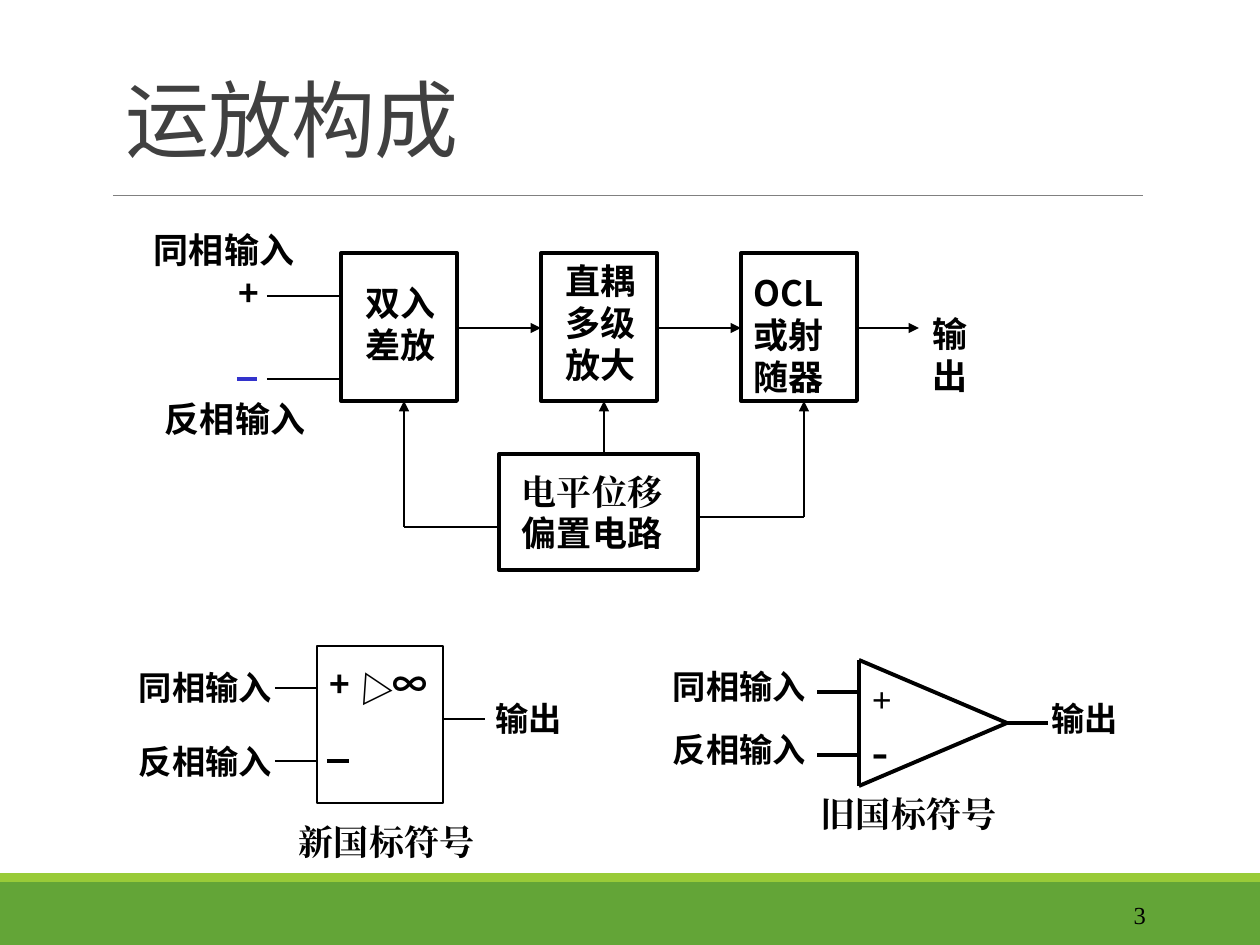
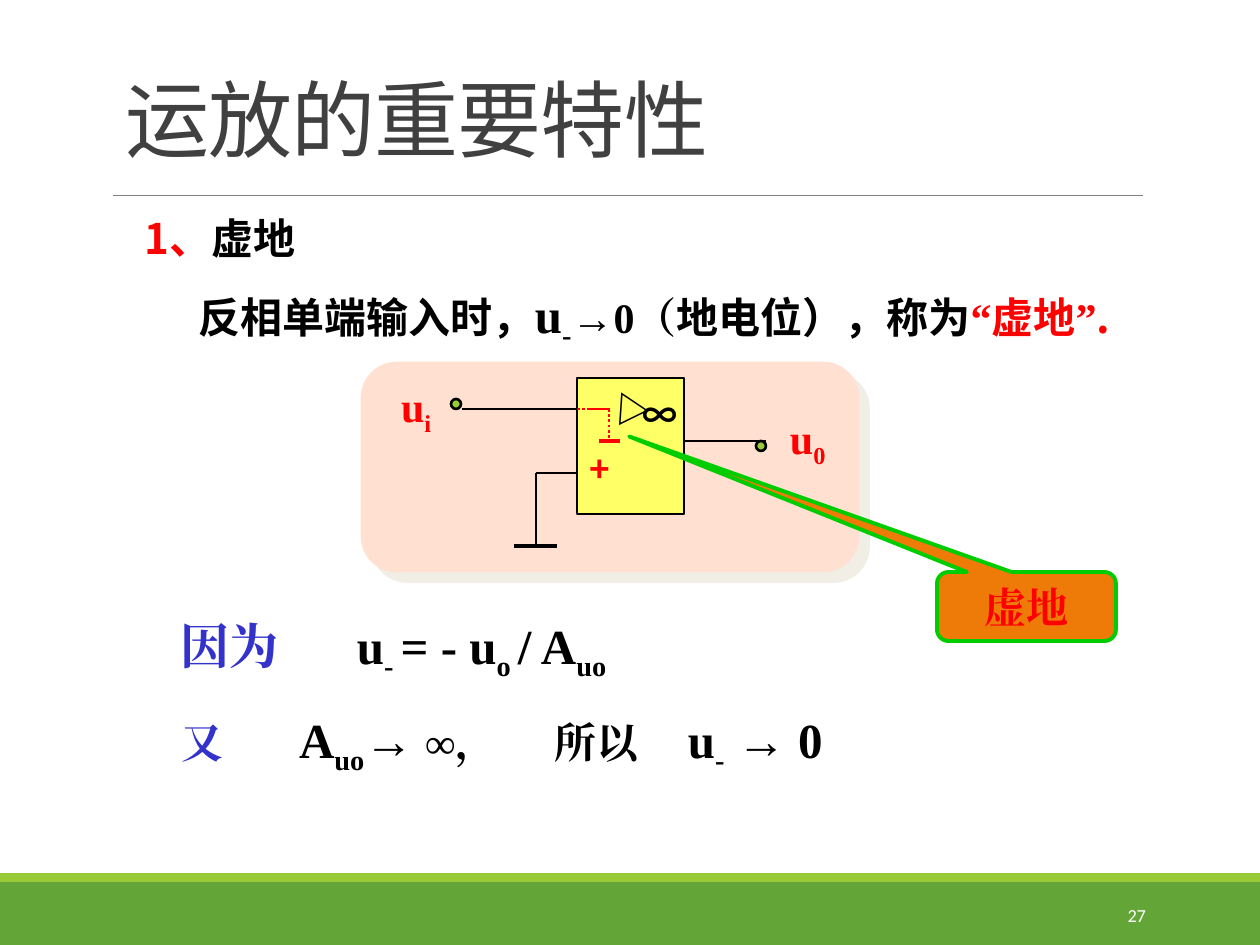
"""Builds two slides about the structure and key property of operational amplifiers."""
from lxml import etree
from pptx import Presentation, util as u
from pptx.dml.color import RGBColor
from pptx.enum import dml, shapes, text
from pptx.oxml.ns import qn

PX = 914400 / 126
SANS, SERIF, CALIBRI = "Noto Sans CJK SC", "Times New Roman", "Calibri"
BLACK, WHITE, RED, BLUE = "000000", "FFFFFF", "FF0000", "3333CC"
GREEN, LIME, GREY, TITLE = "63A537", "99CB38", "808080", "404040"
PANEL, YELLOW, ORANGE, CALLOUT_LINE, SHADOW = "FFE0D1", "FFFF66", "EE7B08", "00CC00", "E2DFCC"
SHAPE = shapes.MSO_SHAPE
TRIANGLE_ROTATION = 273.9

BLOCK_X, BLOCK_Y, BLOCK_W, BLOCK_H, BLOCK_STEP = 341, 253, 116, 148, 200
ARROW_Y = 328
BLOCKS = [("双入差放", 11, 22, 105), ("直耦多级放大", 11, 0, 105), ("OCL或射随器", 0, 12, 116)]
ARROW_LENGTHS = [84, 84, 62]
BIAS_BOX = (499, 454, 199, 116)
NEW_SYMBOL_BOX = (317, 646, 126, 157)

STRUCTURE_LABELS = [
    ((141, 222, 179, 54), "同相输入", SANS, 20),
    ((152, 391, 179, 54), "反相输入", SANS, 20),
    ((226, 265, 53, 54), "+", SANS, 20),
    ((919, 306, 95, 97), "输出", SANS, 20),
    ((509, 464, 189, 54), "电平位移", SERIF, 20),
    ((509, 505, 179, 54), "偏置电路", SANS, 20),
    ((380, 656, 73, 54), "∞", SANS, 20),
    ((317, 656, 42, 54), "+", SANS, 20),
    ((286, 814, 231, 54), "新国标符号", SERIF, 20),
    ((859, 671, 53, 54), "+", SERIF, 20),
    ((859, 713, 63, 72), "-", SERIF, 28),
    ((660, 660, 162, 53), "同相输入", SANS, 19),
    ((660, 723, 162, 53), "反相输入", SANS, 19),
    ((1038, 692, 94, 53), "输出", SANS, 19),
    ((808, 786, 204, 54), "旧国标符号", SERIF, 20),
]
NEW_SYMBOL_LABELS = [
    ((139, 667, 137, 40), "同相输入"),
    ((139, 741, 137, 40), "反相输入"),
    ((495, 698, 84, 40), "输出"),
]
THIN_WIRES = [
    (267, 296, 341, 296), (267, 379, 341, 379),
    (499, 527, 404, 527), (698, 517, 804, 517),
    (275, 688, 317, 688), (275, 761, 317, 761), (443, 719, 485, 719),
]
BIAS_ARROWS = [(404, 527, 404, 401), (604, 454, 604, 401), (804, 517, 804, 401)]
OLD_SYMBOL_WIRES = [
    (859, 660, 859, 786), (859, 660, 1007, 723), (1007, 723, 859, 786),
    (859, 692, 817, 692), (859, 755, 817, 755), (1007, 723, 1048, 723),
]
NEW_SYMBOL_MINUS = (327, 761, 349, 761)
INPUT_MINUS = (237, 379, 257, 379)

HEADING = [("1、", {"color": RED}), ("虚地", {})]
DEFINITION = [
    ("反相单端输入时，", {}), ("u", {"name": SERIF, "size": 28}),
    ("-", {"name": SERIF, "size": 28, "sub": True}), ("→0（", {"name": SERIF}),
    ("地电位），称为", {}), ("“", {"name": SERIF, "color": RED}), ("虚地", {"color": RED}),
    ("”", {"name": SERIF, "color": RED}), (".", {"color": RED}),
]
SUB = {"sub": True}
BECAUSE = [
    ("因为", {"color": BLUE}), ("\tu", {}), ("- ", SUB), ("= - u", {}),
    ("o ", SUB), ("/ A", {}), ("uo", SUB),
]
THEREFORE = [
    ("又", {"color": BLUE, "size": 24}), ("\tA", {}), ("uo", SUB), ("→ ", {}),
    ("∞，\t所以\t", {"size": 24}), ("u", {}), ("-", SUB), (" → 0", {}),
]
STATEMENTS = [
    ((145, 213, 357, 50), HEADING, SANS, 24, 0, ()),
    ((199, 284, 1008, 59), DEFINITION, SANS, 24, 0, ()),
    ((168, 609, 693, 72), BECAUSE, SERIF, 28, 13, (176,)),
    ((168, 703, 851, 72), THEREFORE, SERIF, 28, 13, (118, 374, 507)),
]
CIRCUIT_WIRES = [
    (462, 409, 577, 409), (577, 473, 536, 473), (536, 473, 536, 546), (683, 441, 766, 441),
]
GROUND = (514, 546, 557, 546)
VIRTUAL_DOTS = [(577, 409, 609, 409), (609, 409, 609, 441)]
TERMINALS = [(451, 399, 10, 10), (756, 441, 10, 10)]
SIGNALS = [((388, 374, 70, 63), "i"), ((777, 406, 70, 63), "0")]


def px(n):
    return u.Emu(round(n * PX))


def rgb(value):
    return RGBColor.from_string(value)


def style(font, rpr, name=None, size=None, color=None, bold=None, sub=False):
    if name:
        font.name = name
        ea = rpr.find(qn("a:ea"))
        if ea is None:
            ea = etree.SubElement(rpr, qn("a:ea"))
        ea.set("typeface", name)
    if size:
        font.size = u.Pt(size)
    if color:
        font.color.rgb = rgb(color)
    if bold is not None:
        font.bold = bold
    if sub:
        rpr.set("baseline", "-25000")


def write(tf, content, name, size, color=BLACK, bold=True, tabs=()):
    p = tf.paragraphs[0]
    if tabs:
        tab_list = etree.SubElement(p._p.get_or_add_pPr(), qn("a:tabLst"))
        for stop in tabs:
            etree.SubElement(tab_list, qn("a:tab"), pos=str(px(stop)), algn="l")
    p.font.size = u.Pt(size)
    style(p.font, p._p.pPr.find(qn("a:defRPr")), name, size, color, bold)
    for words, look in [(content, {})] if isinstance(content, str) else content:
        r = p.add_run()
        r.text = words
        if look:
            style(r.font, r._r.get_or_add_rPr(), **look)
    return p


def add_text(s, box, content, name=SANS, size=20, color=BLACK, bold=True, inset=13, rotation=0, tabs=()):
    sp = s.shapes.add_textbox(*map(px, box))
    sp.rotation = rotation
    tf = sp.text_frame
    tf.word_wrap = True
    tf.margin_left = tf.margin_right = px(inset)
    tf.margin_top = tf.margin_bottom = px(inset / 2)
    write(tf, content, name, size, color, bold, tabs)
    return tf


def add_box(s, kind, box, fill=None, line=None, width=1.5):
    sp = s.shapes.add_shape(kind, *map(px, box))
    sp.shadow.inherit = False
    if fill:
        sp.fill.solid()
        sp.fill.fore_color.rgb = rgb(fill)
    else:
        sp.fill.background()
    if line:
        sp.line.color.rgb = rgb(line)
        sp.line.width = u.Pt(width)
    else:
        sp.line.fill.background()
    return sp


def add_line(s, ends, color=BLACK, width=1.5, arrow=False, dash=None):
    c = s.shapes.add_connector(shapes.MSO_CONNECTOR.STRAIGHT, *map(px, ends))
    c.line.color.rgb = rgb(color)
    c.line.width = u.Pt(width)
    if dash:
        c.line.dash_style = dash
    if arrow:
        etree.SubElement(c.line._get_or_add_ln(), qn("a:tailEnd"), type="triangle")
    etree.SubElement(c._element.spPr, qn("a:effectLst"))


def add_lines(s, rows, **look):
    for ends in rows:
        add_line(s, ends, **look)


def new_slide(prs, title, number, name, size, color):
    s = prs.slides.add_slide(prs.slide_layouts[5])
    add_box(s, SHAPE.RECTANGLE, (0, 882, 1260, 63), GREEN)
    add_box(s, SHAPE.RECTANGLE, (0, 873, 1260, 9), LIME)
    add_line(s, (113, 195, 1143, 195), GREY, 0.5)
    sp = s.shapes.title
    sp.left, sp.top, sp.width, sp.height = map(px, (113, 39, 1040, 136))
    tf = sp.text_frame
    tf.auto_size = text.MSO_AUTO_SIZE.NONE
    tf.vertical_anchor = text.MSO_ANCHOR.BOTTOM
    p = write(tf, title, SANS, 48, TITLE, False)
    p.alignment = text.PP_ALIGN.LEFT
    p.line_spacing = 0.85
    p._p.pPr.find(qn("a:defRPr")).set("spc", "-50")
    tf = add_text(s, (1023, 890, 136, 50), number, name, size, color, False)
    tf.vertical_anchor = text.MSO_ANCHOR.MIDDLE
    tf.paragraphs[0].alignment = text.PP_ALIGN.RIGHT
    return s


def build_structure(prs):
    s = new_slide(prs, "运放构成", "3", SERIF, 14, BLACK)
    for i, ((label, dx, dy, w), length) in enumerate(zip(BLOCKS, ARROW_LENGTHS)):
        x = BLOCK_X + i * BLOCK_STEP
        add_box(s, SHAPE.RECTANGLE, (x, BLOCK_Y, BLOCK_W, BLOCK_H), line=BLACK, width=2.25)
        add_text(s, (x + dx, BLOCK_Y + dy, w, 139), label)
        right = x + BLOCK_W
        add_line(s, (right, ARROW_Y, right + length, ARROW_Y), arrow=True)
    add_box(s, SHAPE.RECTANGLE, BIAS_BOX, line=BLACK, width=2.25)
    add_box(s, SHAPE.RECTANGLE, NEW_SYMBOL_BOX, line=BLACK)
    add_lines(s, THIN_WIRES)
    add_lines(s, BIAS_ARROWS, arrow=True)
    add_lines(s, OLD_SYMBOL_WIRES + [NEW_SYMBOL_MINUS], width=2.25)
    add_line(s, INPUT_MINUS, BLUE, 2.25)
    for box, label, name, size in STRUCTURE_LABELS:
        add_text(s, box, label, name, size)
    for box, label in NEW_SYMBOL_LABELS:
        add_text(s, box, label, size=19, inset=0)
    add_text(s, (349, 667, 53, 54), "▽", rotation=TRIANGLE_ROTATION)


def add_panel(s):
    sp = add_box(s, SHAPE.ROUNDED_RECTANGLE, (362, 363, 496, 208), PANEL, PANEL)
    sp.adjustments[0] = 0.167
    effects = sp._element.spPr.find(qn("a:effectLst"))
    shadow = etree.SubElement(effects, qn("a:outerShdw"), dist=str(u.Pt(8.5)), dir="2700000",
                              algn="ctr", rotWithShape="0")
    color = etree.SubElement(shadow, qn("a:srgbClr"), val=SHADOW)
    etree.SubElement(color, qn("a:alpha"), val="50000")


def build_virtual_ground(prs):
    s = new_slide(prs, "运放的重要特性", "27", CALIBRI, 10.5, WHITE)
    for box, runs, name, size, inset, tabs in STATEMENTS:
        add_text(s, box, runs, name, size, inset=inset, tabs=tabs)
    add_panel(s)
    add_line(s, GROUND, width=2.25)
    add_box(s, SHAPE.RECTANGLE, (577, 378, 107, 136), YELLOW, BLACK)
    add_text(s, (609, 391, 45, 54), "▽", rotation=TRIANGLE_ROTATION)
    add_text(s, (630, 387, 63, 54), "∞")
    add_lines(s, CIRCUIT_WIRES)
    for box in TERMINALS:
        add_box(s, SHAPE.OVAL, box, LIME, BLACK)
    add_line(s, (588, 409, 609, 409), RED)
    add_text(s, (577, 441, 53, 54), "+", color=RED)
    for box, index in SIGNALS:
        add_text(s, box, [("u", {}), (index, SUB)], SERIF, 24, RED)
    add_lines(s, VIRTUAL_DOTS, color=RED, dash=dml.MSO_LINE.ROUND_DOT)
    add_line(s, (599, 441, 620, 441), RED, 2.25)
    callout = add_box(s, SHAPE.ROUNDED_RECTANGULAR_CALLOUT, (937, 572, 179, 69), ORANGE, CALLOUT_LINE, 2.25)
    for i, value in enumerate((-2.22, -2.465, 0.167)):
        callout.adjustments[i] = value
    callout.text_frame.vertical_anchor = text.MSO_ANCHOR.MIDDLE
    write(callout.text_frame, "虚地", SERIF, 24, RED).alignment = text.PP_ALIGN.CENTER


def main():
    prs = Presentation()
    prs.slide_width, prs.slide_height = px(1260), px(945)
    build_structure(prs)
    build_virtual_ground(prs)
    prs.save("out.pptx")


if __name__ == "__main__":
    main()
